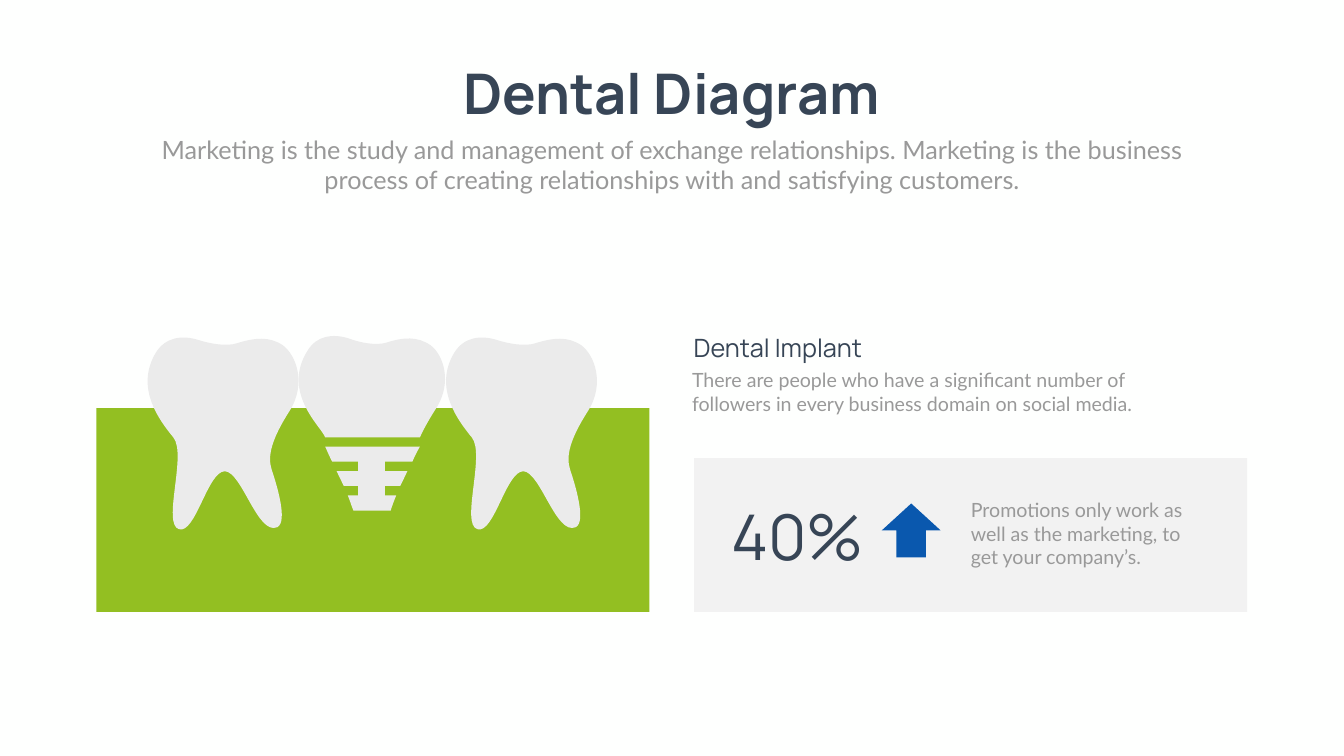
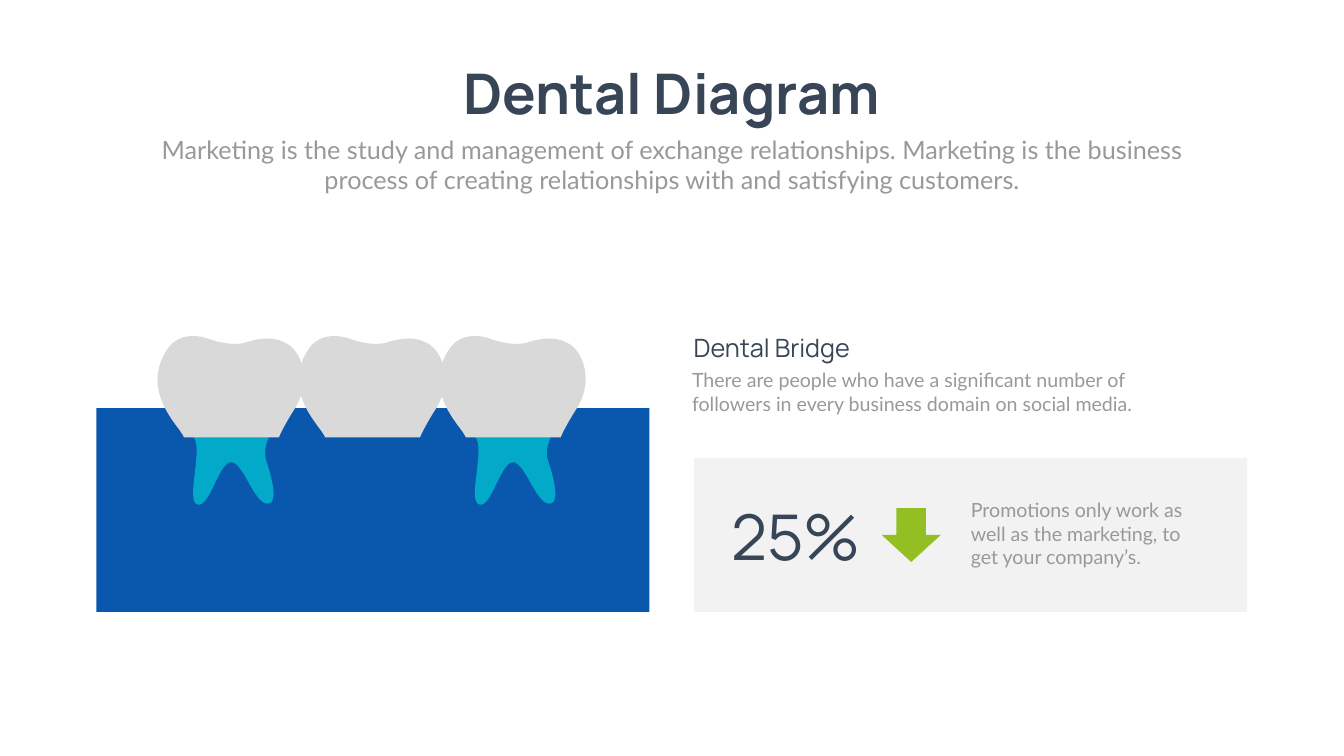
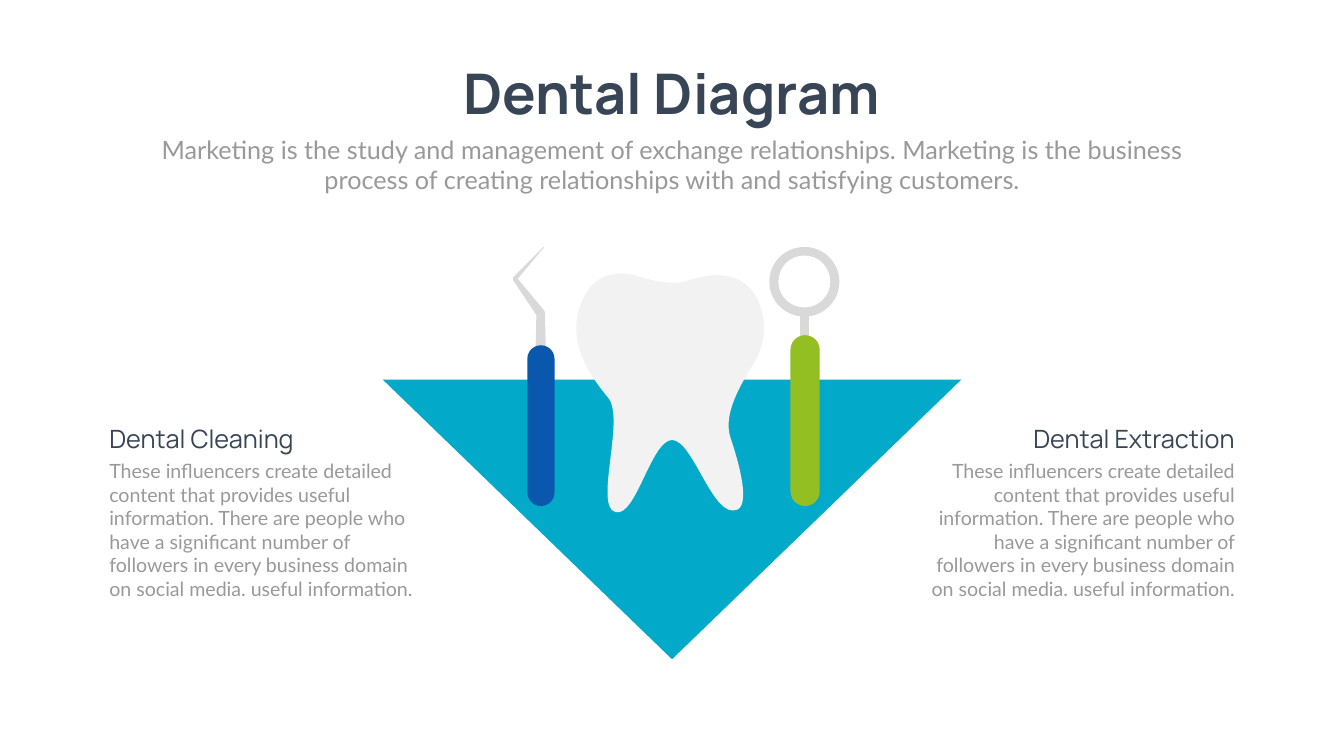
import math

import lxml.etree
import pptx
import pptx.util
import pptx.dml.color
import pptx.enum.shapes
import pptx.enum.text
import pptx.oxml.ns

Inches = pptx.util.Inches
RGBColor = pptx.dml.color.RGBColor
SHAPE = pptx.enum.shapes.MSO_SHAPE
ALIGN = pptx.enum.text.PP_ALIGN
qn = pptx.oxml.ns.qn

PAPER = RGBColor(0xFE, 0xFF, 0xFE)
WHITE = RGBColor(0xFF, 0xFF, 0xFF)
NAVY = RGBColor(0x37, 0x45, 0x56)
GREY = RGBColor(0x99, 0x99, 0x99)
PANEL = RGBColor(0xF2, 0xF2, 0xF2)
ENAMEL = RGBColor(0xEB, 0xEB, 0xEB)
STEEL = RGBColor(0xD9, 0xD9, 0xD9)
GREEN = RGBColor(0x93, 0xBF, 0x22)
BLUE = RGBColor(0x0A, 0x58, 0xAE)
TEAL = RGBColor(0x02, 0xA9, 0xC8)

TOOTH_SIZE = (3.65, 4.22)
TOOTH_TILT = 328.6
TOOTH = [
    (0.46, 0.56),
    (0.65, 0.25, 0.98, 0.2, 1.32, 0.31),
    (1.54, 0.38, 1.87, 0.44, 2.07, 0.37),
    (2.43, 0.26, 2.71, 0.23, 2.98, 0.41),
    (3.24, 0.6, 3.46, 1.17, 3.11, 1.72),
    (2.76, 2.27, 2.67, 2.61, 2.76, 2.88),
    (2.85, 3.15, 3.09, 3.91, 2.87, 4.02),
    (2.48, 4.19, 2.17, 2.92, 1.83, 2.91),
    (1.49, 2.91, 1.25, 4.16, 0.92, 4.06),
    (0.58, 3.96, 1.08, 2.58, 0.81, 2.24),
    (0.54, 1.91, 0.04, 1.26, 0.46, 0.56),
]
CROWN_SIZE = (2.9, 1.96)
CROWN = [
    (0.53, 2.01),
    (2.41, 2.01),
    (2.48, 1.85, 2.58, 1.67, 2.72, 1.45),
    (3.07, 0.92, 2.87, 0.36, 2.62, 0.18),
    (2.36, 0, 2.08, 0.02, 1.74, 0.13),
    (1.54, 0.19, 1.22, 0.13, 1.01, 0.05),
    (0.68, -0.06, 0.36, -0.01, 0.18, 0.29),
    (-0.24, 0.96, 0.19, 1.53, 0.44, 1.86),
    (0.46, 1.89, 0.52, 1.97, 0.53, 2.01),
]
ROOT_SIZE = (1.62, 1.38)
ROOT = [
    (0, 0),
    (1.54, 0),
    (1.52, 0.05),
    (1.44, 0.24, 1.43, 0.38, 1.47, 0.51),
    (1.54, 0.71, 1.71, 1.27, 1.55, 1.35),
    (1.26, 1.48, 1.03, 0.54, 0.78, 0.54),
    (0.53, 0.53, 0.35, 1.45, 0.11, 1.38),
    (-0.14, 1.31, 0.23, 0.29, 0.03, 0.04),
]
IMPLANT = [
    (6.45, 8.86, (1.88, 0.23),
     [(1.73, 0.3), (1.78, 0.18, 1.84, 0.07, 1.88, 0), (0, 0),
      (0, 0, 0.1, 0.23, 0.14, 0.3)]),
    (6.68, 9.35, (1.33, 0.23),
     [(0.14, 0.29), (1.26, 0.29), (1.31, 0.19, 1.36, 0.09, 1.4, 0), (0, 0),
      (0.04, 0.09, 0.09, 0.19, 0.14, 0.29)]),
    (6.9, 9.83, (0.94, 0.23),
     [(0.11, 0.3), (0.85, 0.3), (0.88, 0.2, 0.92, 0.1, 0.96, 0), (0, 0),
      (0.04, 0.1, 0.07, 0.2, 0.11, 0.3)]),
    (7.11, 9.06, (0.47, 0.94),
     [(0, 0), (0.53, 0), (0.53, 0.98), (0, 0.98)]),
]
PROBE = [
    (0.64, 1.32), (0.64, 1.31), (0.64, 1.3, 0.64, 1.28, 0.63, 1.27),
    (0.1, 0.63), (0.62, 0.01), (0.61, 0), (0.01, 0.6),
    (0, 0.62, 0, 0.64, 0.01, 0.66), (0.47, 1.35), (0.45, 2.21),
    (0.5, 2.2, 0.59, 2.19, 0.66, 2.21),
]
STICK = [(0, 0), (0.18, 0), (0.18, 1.73), (0, 1.73)]
RING = [
    (1.39, 0.69),
    (1.39, 1.07, 1.08, 1.38, 0.7, 1.38),
    (0.31, 1.38, 0, 1.07, 0, 0.69),
    (0, 0.31, 0.31, 0, 0.7, 0),
    (1.08, 0, 1.39, 0.31, 1.39, 0.69),
]
LENS = [
    (1.03, 0.52),
    (1.03, 0.8, 0.8, 1.03, 0.52, 1.03),
    (0.23, 1.03, 0, 0.8, 0, 0.52),
    (0, 0.23, 0.23, 0, 0.52, 0),
    (0.8, 0, 1.03, 0.23, 1.03, 0.52),
]

SUBTITLE = (
    "Marketing is the study and management of exchange relationships. "
    "Marketing is the business process of creating relationships with "
    "and satisfying customers."
)
FOLLOWERS = (
    "There are people who have a significant number of followers "
    "in every business domain on social media."
)
PROMOTIONS = "Promotions only work as well as the marketing, to get your company’s."
INFLUENCERS = (
    "These influencers create detailed content that provides useful information. "
    + FOLLOWERS + " useful information."
)


def unturn(x, y, size, rotation):
    angle = math.radians(-rotation)
    middle_x, middle_y = size[0] / 2, size[1] / 2
    x, y = x - middle_x, y - middle_y
    return (
        middle_x + x * math.cos(angle) - y * math.sin(angle),
        middle_y + x * math.sin(angle) + y * math.cos(angle),
    )


class Deck:
    def __init__(self):
        self.presentation = pptx.Presentation()
        self.presentation.slide_width = Inches(26.66)
        self.presentation.slide_height = Inches(15)
        self.slide = None

    def start_slide(self):
        self.slide = self.presentation.slides.add_slide(self.presentation.slide_layouts[6])
        self.slide.background.fill.solid()
        self.slide.background.fill.fore_color.rgb = PAPER
        self.heading("Dental Diagram", 8.65, 1.12, 9.35, 1.45, 80, ALIGN.CENTER, True, False)
        self.body(SUBTITLE, 2.92, 2.61, 20.82, 1.31, ALIGN.CENTER, 36)

    def text(self, words, left, top, width, height, size, font, colour, align, bold, wrap):
        box = self.slide.shapes.add_textbox(*map(Inches, (left, top, width, height)))
        frame = box.text_frame
        frame.word_wrap = wrap
        frame.auto_size = pptx.enum.text.MSO_AUTO_SIZE.SHAPE_TO_FIT_TEXT
        frame.text = words
        paragraph = frame.paragraphs[0]
        paragraph.alignment = align
        style = paragraph.runs[0].font
        style.name = font
        style.size = pptx.util.Pt(size)
        style.bold = bold
        style.color.rgb = colour

    def heading(self, words, left, top, width, height=0.71, size=36,
                align=ALIGN.LEFT, bold=False, wrap=True):
        self.text(words, left, top, width, height, size, "Manrope", NAVY, align, bold, wrap)

    def body(self, words, left, top, width, height, align=ALIGN.LEFT, size=28):
        self.text(words, left, top, width, height, size, "Lato", GREY, align, False, True)

    def paint(self, shape, colour):
        shape.shadow.inherit = False
        shape.fill.solid()
        shape.fill.fore_color.rgb = colour
        shape.line.fill.background()

    def shape(self, kind, left, top, width, height, colour, rounding=None, rotation=0):
        shape = self.slide.shapes.add_shape(kind, *map(Inches, (left, top, width, height)))
        if rounding is not None:
            shape.adjustments[0] = rounding
        shape.rotation = rotation
        self.paint(shape, colour)

    def outline(self, segments, left, top, size, colour, rotation=0, scale=1):
        width, height = (Inches(length * scale) for length in size)
        builder = self.slide.shapes.build_freeform(0, 0)
        builder.add_line_segments([(width, 0), (width, height)], close=True)
        shape = builder.convert_to_shape()
        shape.left, shape.top = Inches(left), Inches(top)
        shape.width, shape.height = width, height
        shape.rotation = rotation
        self.paint(shape, colour)
        contour = next(shape.element.iter(qn("a:path")))
        for step in list(contour):
            contour.remove(step)
        for index, segment in enumerate(segments):
            tag = "a:cubicBezTo" if len(segment) == 6 else "a:lnTo" if index else "a:moveTo"
            step = lxml.etree.SubElement(contour, qn(tag))
            for x, y in zip(segment[::2], segment[1::2]):
                x, y = unturn(x, y, size, rotation)
                point = lxml.etree.SubElement(step, qn("a:pt"))
                point.set("x", str(Inches(x * scale)))
                point.set("y", str(Inches(y * scale)))
        lxml.etree.SubElement(contour, qn("a:close"))

    def tooth(self, left, top, colour, scale=1):
        self.outline(TOOTH, left, top, TOOTH_SIZE, colour, TOOTH_TILT, scale)

    def treatment(self, name, percent, gum_colour, arrow_colour, arrow_top, arrow_rotation):
        self.start_slide()
        self.shape(SHAPE.ROUNDED_RECTANGLE, 13.77, 9.09, 10.97, 3.05, PANEL, 0)
        self.shape(SHAPE.ROUNDED_RECTANGLE, 1.91, 8.1, 10.97, 4.04, gum_colour, 0)
        self.heading(name, 13.66, 6.55, 5.35)
        self.body(FOLLOWERS, 13.63, 7.26, 10.44, 1.04)
        self.heading(percent, 14.41, 9.83, 2.92, 1.62, 90)
        self.shape(SHAPE.UP_ARROW, 17.49, arrow_top, 1.17, 1.07, arrow_colour,
                   rotation=arrow_rotation)
        self.body(PROMOTIONS, 19.16, 9.83, 4.95, 1.51)


def implant_slide(deck):
    deck.treatment("Dental Implant", "40%", GREEN, BLUE, 9.99, 0)
    deck.outline(CROWN, 5.92, 6.67, CROWN_SIZE, ENAMEL)
    for left, top, size, part in IMPLANT:
        deck.outline(part, left, top, size, ENAMEL)
    for left in (2.63, 8.55):
        deck.tooth(left, 6.44, ENAMEL)


def bridge_slide(deck):
    deck.treatment("Dental Bridge", "25%", BLUE, GREEN, 10.08, 180)
    for left in (9.4, 3.81):
        deck.outline(ROOT, left, 8.63, ROOT_SIZE, TEAL)
    for left in (5.92, 8.71, 3.12):
        deck.outline(CROWN, left, 6.67, CROWN_SIZE, STEEL)


def tools_slide(deck):
    deck.start_slide()
    deck.shape(SHAPE.ISOSCELES_TRIANGLE, 7.59, 7.53, 11.48, 5.55, TEAL, rotation=180)
    deck.tooth(11.06, 5.11, PANEL, 4.54 / 3.65)
    deck.outline(PROBE, 10.17, 4.9, (0.65, 2.2), STEEL)
    deck.shape(SHAPE.ROUNDED_RECTANGLE, 10.46, 6.85, 0.54, 3.19, BLUE, 0.5)
    deck.outline(STICK, 15.86, 5.63, (0.14, 1.72), STEEL)
    deck.outline(RING, 15.26, 4.9, (1.38, 1.38), STEEL)
    deck.outline(LENS, 15.44, 5.07, (0.96, 0.96), WHITE)
    deck.shape(SHAPE.ROUNDED_RECTANGLE, 15.68, 6.65, 0.58, 3.39, GREEN, 0.5)
    for name, name_left, body_left, align in (
        ("Dental Cleaning", 2.07, 2.07, ALIGN.LEFT),
        ("Dental Extraction", 19.07, 17.99, ALIGN.RIGHT),
    ):
        deck.body(INFLUENCERS, body_left, 9.06, 6.6, 2.93, align)
        deck.heading(name, name_left, 8.35, 5.52, align=align)


def main():
    deck = Deck()
    implant_slide(deck)
    bridge_slide(deck)
    tools_slide(deck)
    deck.presentation.save("out.pptx")


if __name__ == "__main__":
    main()
